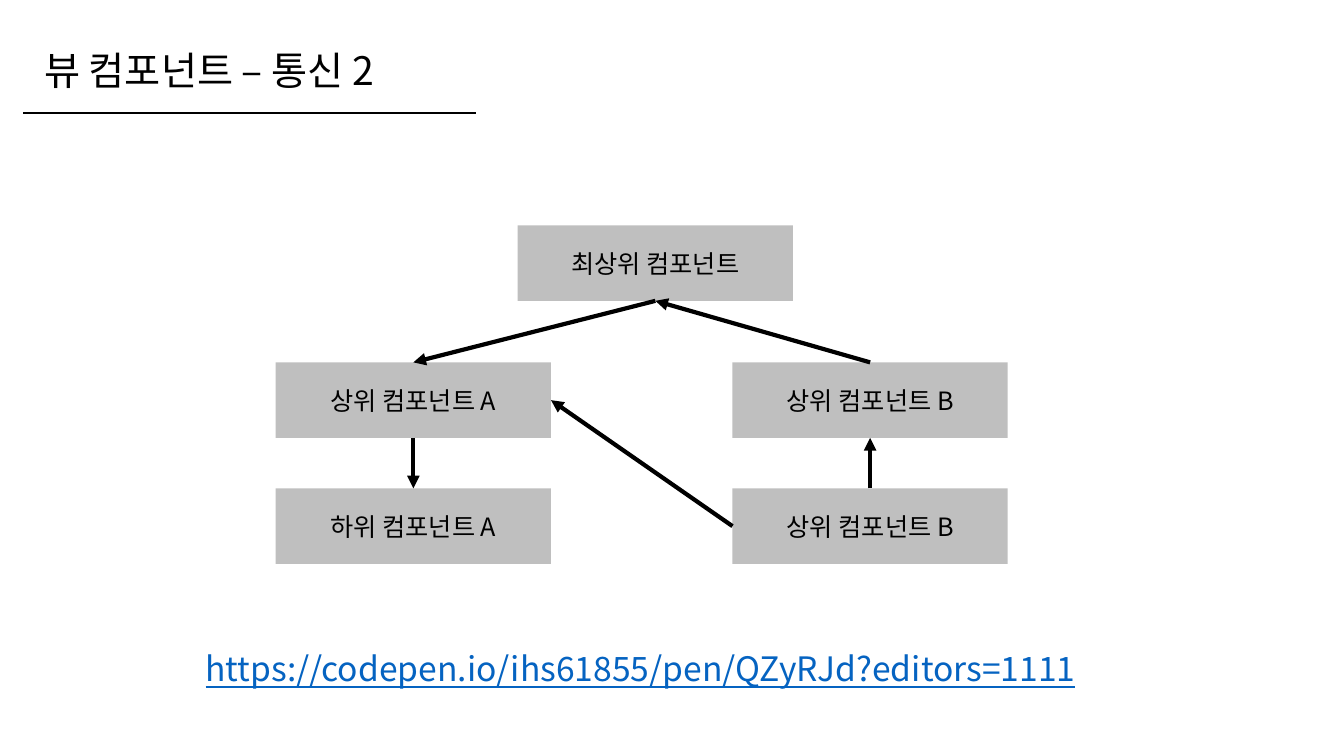
"""Build the slide showing how sibling view components communicate."""
from dataclasses import dataclass

from lxml.etree import SubElement
from pptx import Presentation
from pptx.dml.color import RGBColor
from pptx.enum.shapes import MSO_CONNECTOR as Line, MSO_SHAPE as Shape
from pptx.enum.text import MSO_ANCHOR as Anchor, MSO_AUTO_SIZE as AutoSize, PP_ALIGN as Align
from pptx.oxml.ns import qn
from pptx.slide import Slide
from pptx.text.text import TextFrame
from pptx.util import Inches, Pt

FONT = "Noto Sans CJK KR"
COLORS = {"ink": "000000", "box": "BFBFBF", "link": "0563C1"}
COLUMNS = {"left": 4.1, "middle": 6.5, "right": 8.63}
ROWS = {"top": 2.61, "parent": 3.97, "child": 5.22}
BOX_WIDTH, BOX_HEIGHT = 2.73, 0.75
SIDES = {"top": (0, -0.5), "bottom": (0, 0.5), "left": (-0.5, 0), "right": (0.5, 0)}


@dataclass(frozen=True)
class Component:
    label: str
    column: str
    row: str

    def anchor(self, side: str) -> tuple[float, float]:
        across, down = SIDES[side]
        return COLUMNS[self.column] + across * BOX_WIDTH, ROWS[self.row] + down * BOX_HEIGHT


@dataclass(frozen=True)
class Arrow:
    source: Component
    source_side: str
    target: Component
    target_side: str


@dataclass(frozen=True)
class Caption:
    text: str
    left: float
    top: float
    width: float
    height: float
    size: int
    color: str
    underline: bool = False


ROOT = Component("최상위 컴포넌트", "middle", "top")
PARENT_A = Component("상위 컴포넌트 A", "left", "parent")
CHILD_A = Component("하위 컴포넌트 A", "left", "child")
CHILD_B = Component("상위 컴포넌트 B", "right", "child")
PARENT_B = Component("상위 컴포넌트 B", "right", "parent")
COMPONENTS = [ROOT, PARENT_A, CHILD_A, CHILD_B, PARENT_B]
ARROWS = [
    Arrow(CHILD_B, "top", PARENT_B, "bottom"),
    Arrow(PARENT_B, "top", ROOT, "bottom"),
    Arrow(ROOT, "bottom", PARENT_A, "top"),
    Arrow(PARENT_A, "bottom", CHILD_A, "top"),
    Arrow(CHILD_B, "left", PARENT_A, "right"),
]
TITLE = Caption("뷰 컴포넌트 – 통신 2", 0.34, 0.41, 3.74, 0.57, 28, "ink")
LINK = Caption("https://codepen.io/ihs61855/pen/QZyRJd?editors=1111",
               1.94, 6.38, 9.45, 0.5, 24, "link", True)


def color(name: str) -> RGBColor:
    return RGBColor.from_string(COLORS[name])


def write(frame: TextFrame, text: str, size: int, ink: str, align: Align = Align.LEFT) -> None:
    para = frame.paragraphs[0]
    para.text = text
    para.alignment = align
    font = para.font
    font.name, font.size = FONT, Pt(size)
    font.color.rgb = color(ink)
    defaults = para._p.get_or_add_pPr().find(qn("a:defRPr"))
    SubElement(defaults, qn("a:ea")).set("typeface", FONT)


def draw_caption(page: Slide, caption: Caption) -> None:
    place = map(Inches, (caption.left, caption.top, caption.width, caption.height))
    frame = page.shapes.add_textbox(*place).text_frame
    frame.word_wrap = False
    frame.auto_size = AutoSize.SHAPE_TO_FIT_TEXT
    write(frame, caption.text, caption.size, caption.color)
    if caption.underline:
        frame.paragraphs[0].font.underline = True


def draw_component(page: Slide, component: Component) -> None:
    left = component.anchor("left")[0]
    top = component.anchor("top")[1]
    box = page.shapes.add_shape(Shape.RECTANGLE, *map(Inches, (left, top, BOX_WIDTH, BOX_HEIGHT)))
    box.shadow.inherit = False
    box.fill.solid()
    box.fill.fore_color.rgb = color("box")
    box.line.fill.background()
    box.text_frame.word_wrap = True
    box.text_frame.vertical_anchor = Anchor.MIDDLE
    write(box.text_frame, component.label, 18, "ink", Align.CENTER)


def draw_line(page: Slide, start: tuple[float, float], end: tuple[float, float],
              width: float, arrowhead: bool = False) -> None:
    line = page.shapes.add_connector(Line.STRAIGHT, *map(Inches, start + end))
    line.line.width = Pt(width)
    line.line.color.rgb = color("ink")
    if arrowhead:
        SubElement(line.line._get_or_add_ln(), qn("a:tailEnd")).set("type", "triangle")
    SubElement(line._element.spPr, qn("a:effectLst"))


def main() -> None:
    deck = Presentation()
    deck.slide_width, deck.slide_height = Inches(13.33), Inches(7.5)
    page = deck.slides.add_slide(deck.slide_layouts[6])
    draw_line(page, (0.23, 1.12), (4.72, 1.12), 1.5)
    draw_caption(page, TITLE)
    for component in COMPONENTS:
        draw_component(page, component)
    for arrow in ARROWS:
        draw_line(page, arrow.source.anchor(arrow.source_side),
                  arrow.target.anchor(arrow.target_side), 3, True)
    draw_caption(page, LINK)
    deck.save("out.pptx")


if __name__ == "__main__":
    main()
